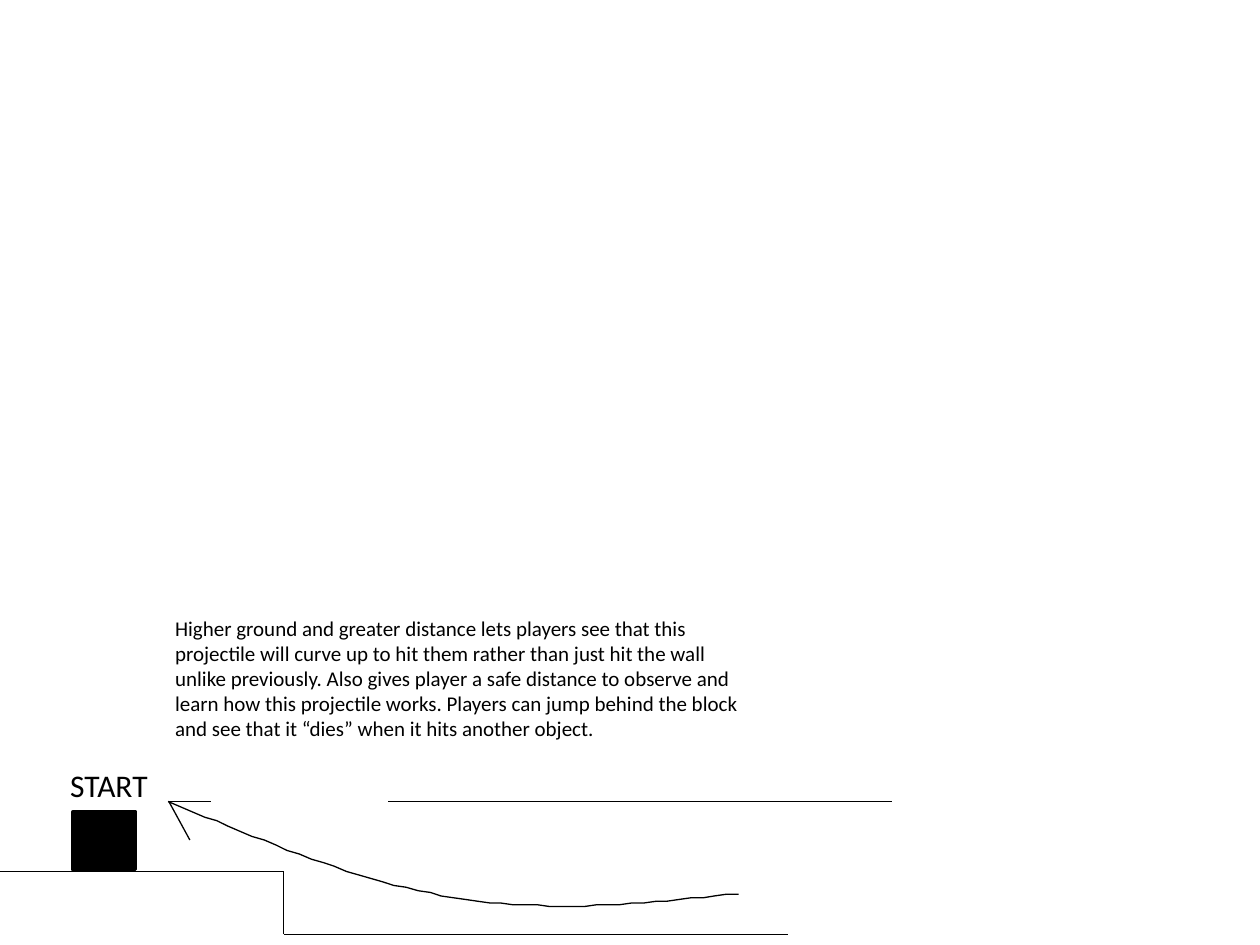
from dataclasses import dataclass
from itertools import pairwise

from lxml import etree
from pptx import Presentation
from pptx.dml.color import RGBColor
from pptx.enum.shapes import MSO_CONNECTOR, MSO_SHAPE
from pptx.enum.text import MSO_AUTO_SIZE
from pptx.oxml.ns import qn
from pptx.util import Pt

STRAIGHT = MSO_CONNECTOR.STRAIGHT
RECTANGLE = MSO_SHAPE.RECTANGLE
GROW = MSO_AUTO_SIZE.SHAPE_TO_FIT_TEXT
BLANK_LAYOUT = 6
CURVE_STEPS = 24


@dataclass(frozen=True)
class Theme:
    ink: RGBColor = RGBColor(0, 0, 0)
    font: str = "Calibri"
    label_size: float = 18
    note_size: float = 12
    thin: float = 0.75
    thick: float = 2


THEME = Theme()
NOTE = (
    "Higher ground and greater distance lets players see that this projectile "
    "will curve up to hit them rather than just hit the wall unlike previously. "
    "Also gives player a safe distance to observe and learn how this projectile "
    "works. Players can jump behind the block and see that it “dies” when it "
    "hits another object."
)


def set_line(line, width):
    line.color.rgb = THEME.ink
    line.width = Pt(width)


def add_text(page, text, *, box, size, wrap=True):
    shape = page.shapes.add_textbox(*map(Pt, box))
    frame = shape.text_frame
    frame.word_wrap = wrap
    frame.auto_size = GROW
    span = frame.paragraphs[0].add_run()
    span.text = text
    span.font.name = THEME.font
    span.font.size = Pt(size)
    span.font.color.rgb = THEME.ink


def add_lines(page, points):
    """Join successive points with straight lines."""
    for start, end in pairwise(points):
        line = page.shapes.add_connector(STRAIGHT, *map(Pt, start + end))
        set_line(line.line, THEME.thin)
        etree.SubElement(line._element.spPr, qn("a:effectLst"))


def bezier(points, t):
    weights = ((1 - t) ** 3, 3 * t * (1 - t) ** 2, 3 * t**2 * (1 - t), t**3)
    return tuple(sum(w * p[axis] for w, p in zip(weights, points)) for axis in (0, 1))


def draw_terrain(page, box):
    left, top, width, height = box
    step = left + 162
    bottom = top + height
    add_lines(page, [(left, top), (step, top), (step, bottom), (left + width, bottom)])


def draw_start(page, box):
    left, top, width, height = box
    add_text(page, "START", box=(left, top, width, 28.8),
             size=THEME.label_size, wrap=False)
    # Player block below the label
    block_height = 33
    block = page.shapes.add_shape(
        RECTANGLE, Pt(left + 8.6), Pt(top + height - block_height), Pt(36), Pt(block_height))
    block.shadow.inherit = False
    block.fill.solid()
    block.fill.fore_color.rgb = THEME.ink
    set_line(block.line, THEME.thick)


def draw_projectile(page, box):
    left, top, width, height = box
    # Two curve segments of equal width, from the launch point to the tip
    heights = (0.89, 0.99, 1.085, 0.93, 0.78, 0.39, 0)
    controls = [(left + width * (1 - i / 6), top + height * y)
                for i, y in enumerate(heights)]
    flight = [bezier(controls[first:first + 4], step / CURVE_STEPS)
              for first in (0, 3) for step in range(CURVE_STEPS + 1)]
    builder = page.shapes.build_freeform(*flight[0], scale=Pt(1))
    builder.add_line_segments(flight[1:], close=False)
    curve = builder.convert_to_shape()
    curve.shadow.inherit = False
    curve.fill.background()
    set_line(curve.line, THEME.thin)
    # Arrowhead strokes
    add_lines(page, [(left + 24, top), (left, top), (left + 12, top + 22)])


deck = Presentation()
deck.slide_width, deck.slide_height = Pt(720), Pt(540)
page = deck.slides.add_slide(deck.slide_layouts[BLANK_LAYOUT])

draw_terrain(page, (0, 498, 450, 36))
draw_start(page, (33, 434, 60, 63))
add_text(page, NOTE, box=(93, 348, 345, 80), size=THEME.note_size)
# Ceiling over the projectile
add_lines(page, [(222, 458), (510, 458)])
draw_projectile(page, (96.5, 458, 325.5, 59))

deck.save("out.pptx")
